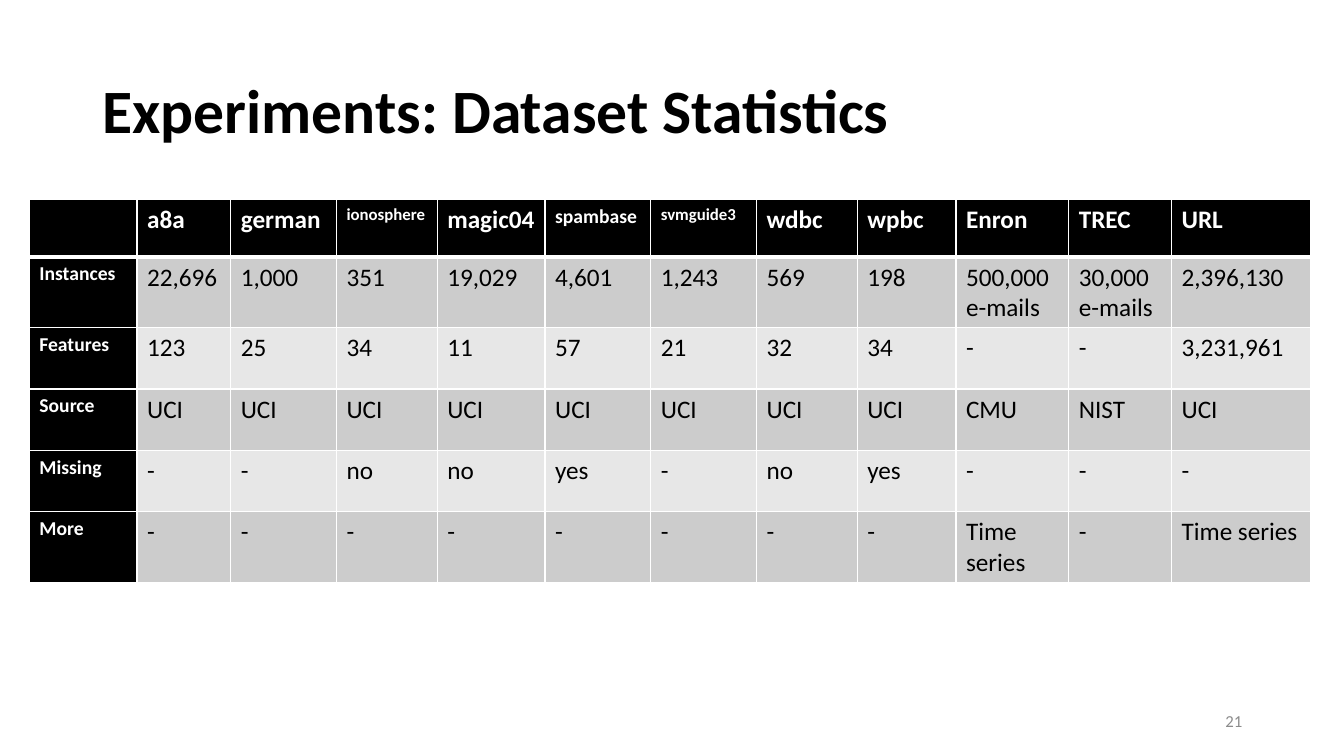
from dataclasses import dataclass

from lxml import etree
from pptx import Presentation
from pptx import util as u
from pptx.dml.color import RGBColor
from pptx.enum import text
from pptx.oxml import ns

SLIDE_WIDTH, SLIDE_HEIGHT = u.Inches(13.33), u.Inches(7.5)
FONT = "Calibri"
BLACK, WHITE, GREY = "000000", "FFFFFF", "8C8C8C"
BANDS = ("CCCCCC", "E7E7E7")
HEADER_HEIGHT, BODY_HEIGHT = 7.6, 8.13
LABEL_SIZE, BODY_SIZE = 14, 18


@dataclass(frozen=True)
class Box:
    """A place on the slide, in percent of its width and height."""
    left: float
    top: float
    width: float
    height: float

    def lengths(self) -> tuple[u.Emu, u.Emu, u.Emu, u.Emu]:
        return across(self.left), down(self.top), across(self.width), down(self.height)


@dataclass(frozen=True)
class Style:
    size: int
    color: str
    bold: bool = False


@dataclass(frozen=True)
class Caption:
    words: str
    box: Box
    style: Style
    alignment: text.PP_ALIGN = text.PP_ALIGN.LEFT
    line_spacing: float = 1.0


@dataclass(frozen=True)
class Dataset:
    """One table column: its heading, relative width and five values."""
    name: str
    weight: float
    values: tuple[str, ...]
    heading_size: int = 18


CAPTIONS = (
    Caption("Experiments: Dataset Statistics", Box(6.9, 5.33, 86.27, 19.33),
            Style(44, BLACK, True), line_spacing=0.9),
    Caption("21", Box(70.67, 92.67, 22.5, 5.33), Style(12, GREY), text.PP_ALIGN.RIGHT),
)
TABLE = Box(2.18, 26.4, 95.35, HEADER_HEIGHT + 5 * BODY_HEIGHT)
COLUMNS = (
    Dataset("", 1.07, ("Instances", "Features", "Source", "Missing", "More")),
    Dataset("a8a", 0.93, ("22,696", "123", "UCI", "-", "-")),
    Dataset("german", 1.05, ("1,000", "25", "UCI", "-", "-")),
    Dataset("ionosphere", 1, ("351", "34", "UCI", "no", "-"), 12),
    Dataset("magic04", 1.07, ("19,029", "11", "UCI", "no", "-")),
    Dataset("spambase", 1.05, ("4,601", "57", "UCI", "yes", "-"), 14),
    Dataset("svmguide3", 1.05, ("1,243", "21", "UCI", "-", "-"), 12),
    Dataset("wdbc", 1, ("569", "32", "UCI", "no", "-")),
    Dataset("wpbc", 0.98, ("198", "34", "UCI", "yes", "-")),
    Dataset("Enron", 1.12, ("500,000 e-mails", "-", "CMU", "-", "Time series")),
    Dataset("TREC", 1.02, ("30,000\ne-mails", "-", "NIST", "-", "-")),
    Dataset("URL", 1.38, ("2,396,130", "3,231,961", "UCI", "-", "Time series")),
)


def across(percent: float) -> u.Emu:
    return u.Emu(round(SLIDE_WIDTH * percent / 100))


def down(percent: float) -> u.Emu:
    return u.Emu(round(SLIDE_HEIGHT * percent / 100))


def rgb(color: str) -> RGBColor:
    return RGBColor.from_string(color)


def write(frame, words: str, style: Style) -> None:
    frame.text = words
    for paragraph in frame.paragraphs:
        for run in paragraph.runs:
            run.font.name = FONT
            run.font.size = u.Pt(style.size)
            run.font.bold = style.bold
            run.font.color.rgb = rgb(style.color)


def add_caption(slide, caption: Caption) -> None:
    frame = slide.shapes.add_textbox(*caption.box.lengths()).text_frame
    frame.word_wrap = True
    frame.vertical_anchor = text.MSO_ANCHOR.MIDDLE
    write(frame, caption.words, caption.style)
    frame.paragraphs[0].alignment = caption.alignment
    frame.paragraphs[0].line_spacing = caption.line_spacing


def add_borders(cell, row: int) -> None:
    """White rules all round, thicker between the header and the body."""
    widths = {"lnL": 1, "lnR": 1, "lnT": 3 if row == 1 else 1, "lnB": 3 if row == 0 else 1}
    properties = cell._tc.get_or_add_tcPr()
    for side, width in widths.items():
        line = etree.SubElement(properties, ns.qn(f"a:{side}"), w=str(u.Pt(width)))
        fill = etree.SubElement(line, ns.qn("a:solidFill"))
        etree.SubElement(fill, ns.qn("a:srgbClr"), val=WHITE)


def fill_cell(cell, row: int, words: str, style: Style, color: str) -> None:
    add_borders(cell, row)
    cell.fill.solid()
    cell.fill.fore_color.rgb = rgb(color)
    write(cell.text_frame, words, style)


def add_statistics(slide) -> None:
    row_count = 1 + len(COLUMNS[0].values)
    table = slide.shapes.add_table(row_count, len(COLUMNS), *TABLE.lengths()).table
    table.first_row = table.horz_banding = False
    for index, row in enumerate(table.rows):
        row.height = down(BODY_HEIGHT if index else HEADER_HEIGHT)
    total_weight = sum(dataset.weight for dataset in COLUMNS)
    for column, dataset in enumerate(COLUMNS):
        table.columns[column].width = across(TABLE.width * dataset.weight / total_weight)
        heading = Style(dataset.heading_size, WHITE, True)
        fill_cell(table.cell(0, column), 0, dataset.name, heading, BLACK)
        for row, value in enumerate(dataset.values, start=1):
            if column == 0:
                style, color = Style(LABEL_SIZE, WHITE, True), BLACK
            else:
                style, color = Style(BODY_SIZE, BLACK), BANDS[(row - 1) % 2]
            fill_cell(table.cell(row, column), row, value, style, color)


def main() -> None:
    presentation = Presentation()
    presentation.slide_width, presentation.slide_height = SLIDE_WIDTH, SLIDE_HEIGHT
    slide = presentation.slides.add_slide(presentation.slide_layouts[6])
    for caption in CAPTIONS:
        add_caption(slide, caption)
    add_statistics(slide)
    presentation.save("out.pptx")


if __name__ == "__main__":
    main()
